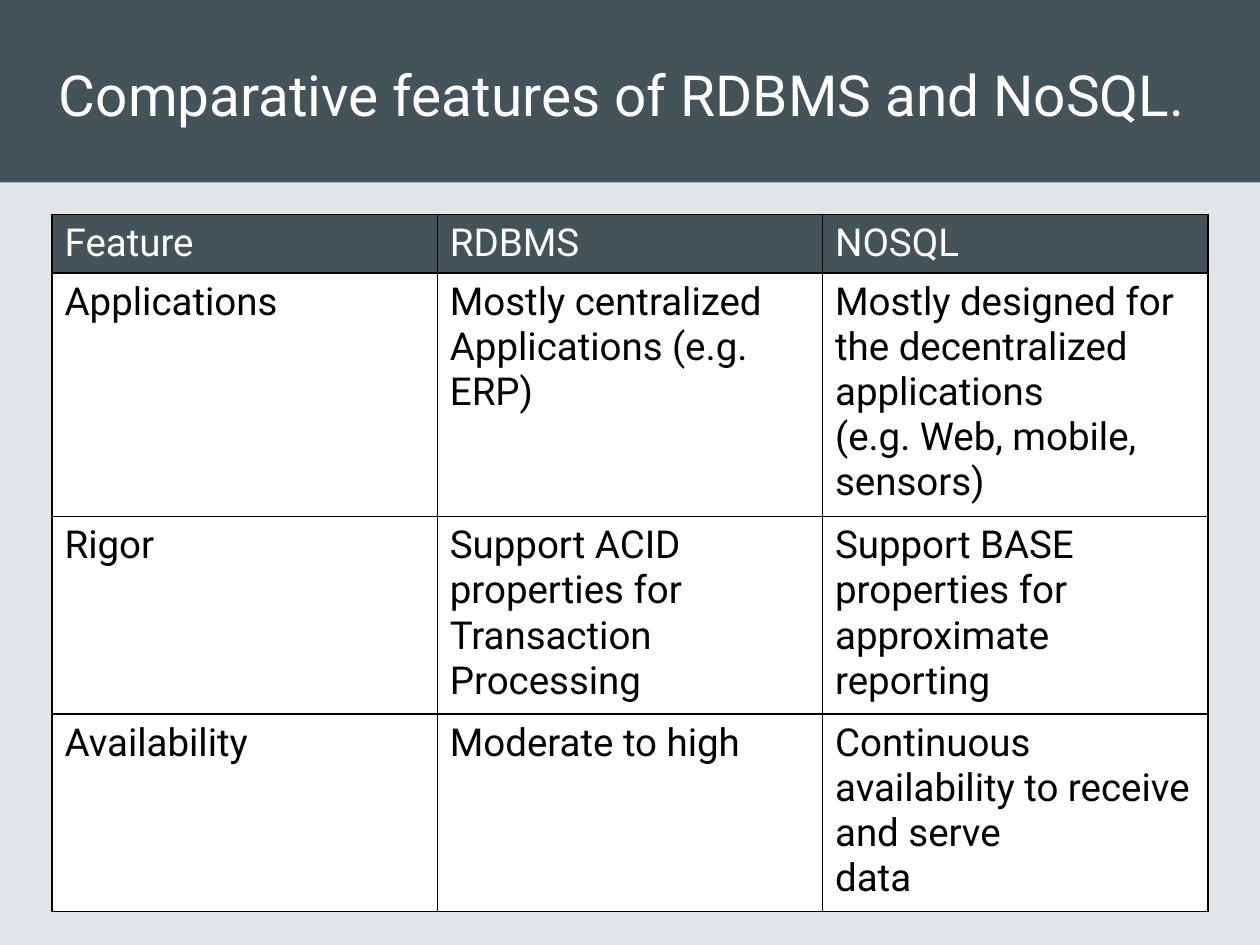
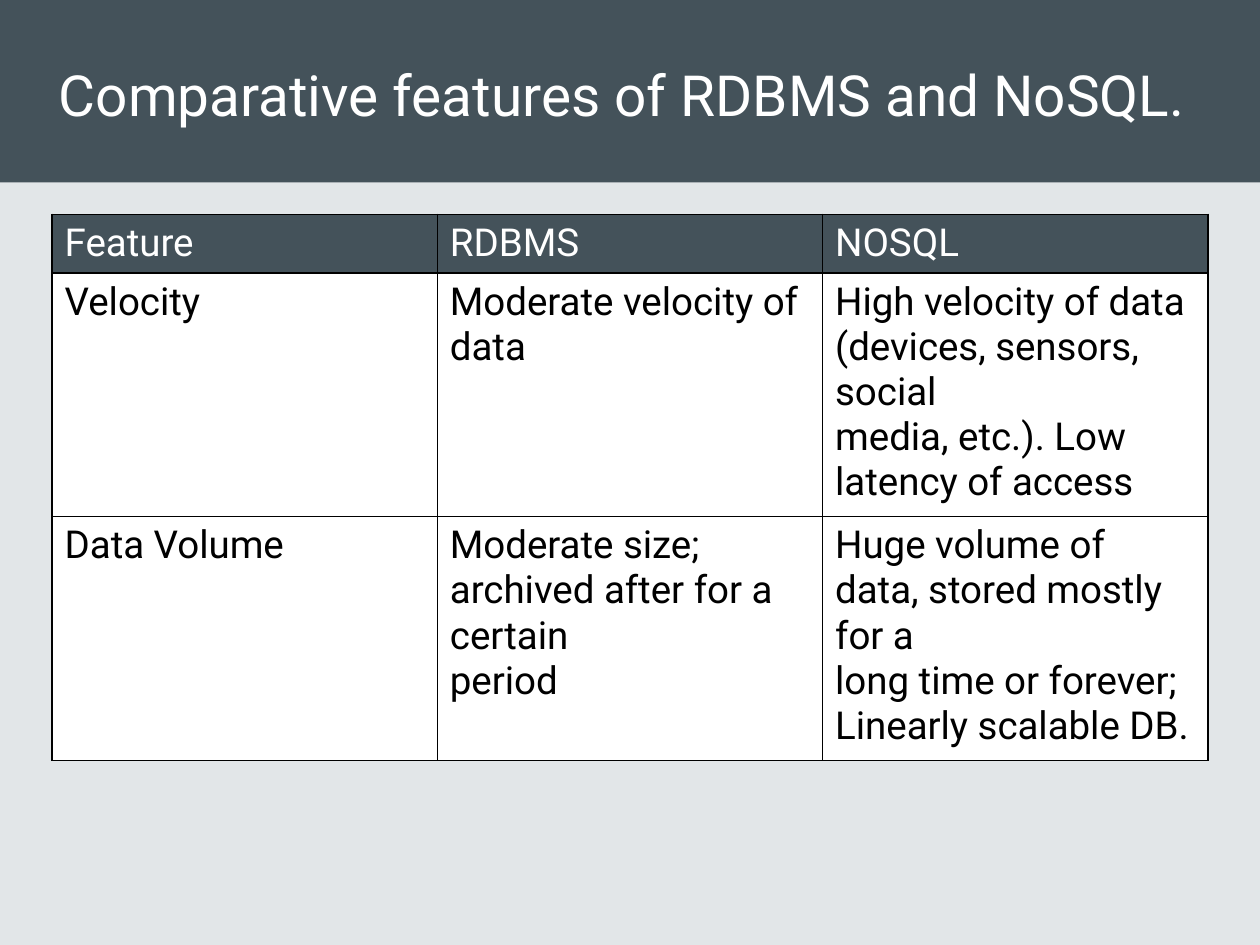
from dataclasses import dataclass

from lxml.etree import SubElement
from pptx import Presentation
from pptx.dml.color import RGBColor
from pptx.enum.shapes import MSO_SHAPE
from pptx.enum.text import MSO_ANCHOR
from pptx.oxml.ns import qn
from pptx.slide import Slide
from pptx.table import _Cell
from pptx.util import Cm, Pt

# Shared look
SLATE = RGBColor(0x44, 0x52, 0x5A)
PALE_GREY = RGBColor(0xE2, 0xE6, 0xE8)
WHITE = RGBColor(0xFF, 0xFF, 0xFF)
BLACK = RGBColor(0x00, 0x00, 0x00)
FONT = "Roboto"
TITLE_SIZE = Pt(32.4)
TABLE_SIZE = Pt(22)
BORDER_WIDTH = Pt(1)

# Shared layout
SLIDE_WIDTH, SLIDE_HEIGHT = Cm(25.4), Cm(19.05)
BAND_HEIGHT = Cm(3.68)
TITLE_LEFT, TITLE_TOP, TITLE_WIDTH = Cm(0.94), Cm(0.06), Cm(23.3)
TABLE_LEFT, TABLE_TOP, TABLE_WIDTH = Cm(1.05), Cm(4.32), Cm(23.3)
LINE_HEIGHT, ROW_PADDING = Cm(0.91), Cm(0.25)

TITLE = "Comparative features of RDBMS and NoSQL."


@dataclass
class FeatureRow:
    feature: str
    rdbms: str
    nosql: str
    lines: int  # text lines in the tallest cell

    @property
    def texts(self) -> tuple[str, str, str]:
        return self.feature, self.rdbms, self.nosql

    @property
    def height(self) -> int:
        return self.lines * LINE_HEIGHT + ROW_PADDING


HEADER = FeatureRow("Feature", "RDBMS", "NOSQL", 1)

COMPARISONS = [
    [
        FeatureRow(
            "Applications",
            "Mostly centralized Applications (e.g.\nERP)",
            "Mostly designed for the decentralized applications\n"
            "(e.g. Web, mobile, sensors)",
            5,
        ),
        FeatureRow(
            "Rigor",
            "Support ACID properties for Transaction\nProcessing",
            "Support BASE properties for approximate\nreporting",
            4,
        ),
        FeatureRow(
            "Availability",
            "Moderate to high",
            "Continuous availability to receive and serve\ndata",
            4,
        ),
    ],
    [
        FeatureRow(
            "Velocity",
            "Moderate velocity of data",
            "High velocity of data (devices, sensors, social\n"
            "media, etc.). Low latency of access",
            5,
        ),
        FeatureRow(
            "Data Volume",
            "Moderate size; archived after for a certain\nperiod",
            "Huge volume of data, stored mostly for a\n"
            "long time or forever; Linearly scalable DB.",
            5,
        ),
    ],
]


def add_title_band(slide: Slide) -> None:
    """Colour the background and draw the band with the title."""
    slide.background.fill.solid()
    slide.background.fill.fore_color.rgb = PALE_GREY

    band = slide.shapes.add_shape(MSO_SHAPE.RECTANGLE, 0, 0, SLIDE_WIDTH, BAND_HEIGHT)
    band.shadow.inherit = False
    band.fill.solid()
    band.fill.fore_color.rgb = SLATE
    band.line.fill.background()

    title_box = slide.shapes.add_textbox(TITLE_LEFT, TITLE_TOP, TITLE_WIDTH, BAND_HEIGHT)
    frame = title_box.text_frame
    frame.word_wrap = True
    frame.vertical_anchor = MSO_ANCHOR.MIDDLE
    paragraph = frame.paragraphs[0]
    paragraph.text = TITLE
    paragraph.font.name = FONT
    paragraph.font.size = TITLE_SIZE
    paragraph.font.color.rgb = WHITE


def add_borders(cell: _Cell) -> None:
    """Draw all four cell edges; must run before the cell is filled."""
    properties = cell._tc.get_or_add_tcPr()
    for edge in ("a:lnL", "a:lnR", "a:lnT", "a:lnB"):
        line = SubElement(properties, qn(edge), w=str(BORDER_WIDTH))
        fill = SubElement(line, qn("a:solidFill"))
        SubElement(fill, qn("a:srgbClr"), val=str(BLACK))


def fill_cell(cell: _Cell, text: str, background: RGBColor, color: RGBColor) -> None:
    add_borders(cell)
    cell.fill.solid()
    cell.fill.fore_color.rgb = background
    cell.text = text
    for paragraph in cell.text_frame.paragraphs:
        paragraph.font.name = FONT
        paragraph.font.size = TABLE_SIZE
        paragraph.font.color.rgb = color


def add_comparison_table(slide: Slide, features: list[FeatureRow]) -> None:
    rows = [HEADER, *features]
    table = slide.shapes.add_table(
        len(rows), len(HEADER.texts), TABLE_LEFT, TABLE_TOP, TABLE_WIDTH,
        sum(row.height for row in rows),
    ).table
    for row_index, row in enumerate(rows):
        table.rows[row_index].height = row.height
        background, color = (SLATE, WHITE) if row is HEADER else (WHITE, BLACK)
        for column_index, text in enumerate(row.texts):
            fill_cell(table.cell(row_index, column_index), text, background, color)


def main() -> None:
    presentation = Presentation()
    presentation.slide_width = SLIDE_WIDTH
    presentation.slide_height = SLIDE_HEIGHT
    blank_layout = presentation.slide_layouts[6]

    for features in COMPARISONS:
        slide = presentation.slides.add_slide(blank_layout)
        add_title_band(slide)
        add_comparison_table(slide, features)

    presentation.save("out.pptx")


if __name__ == "__main__":
    main()
